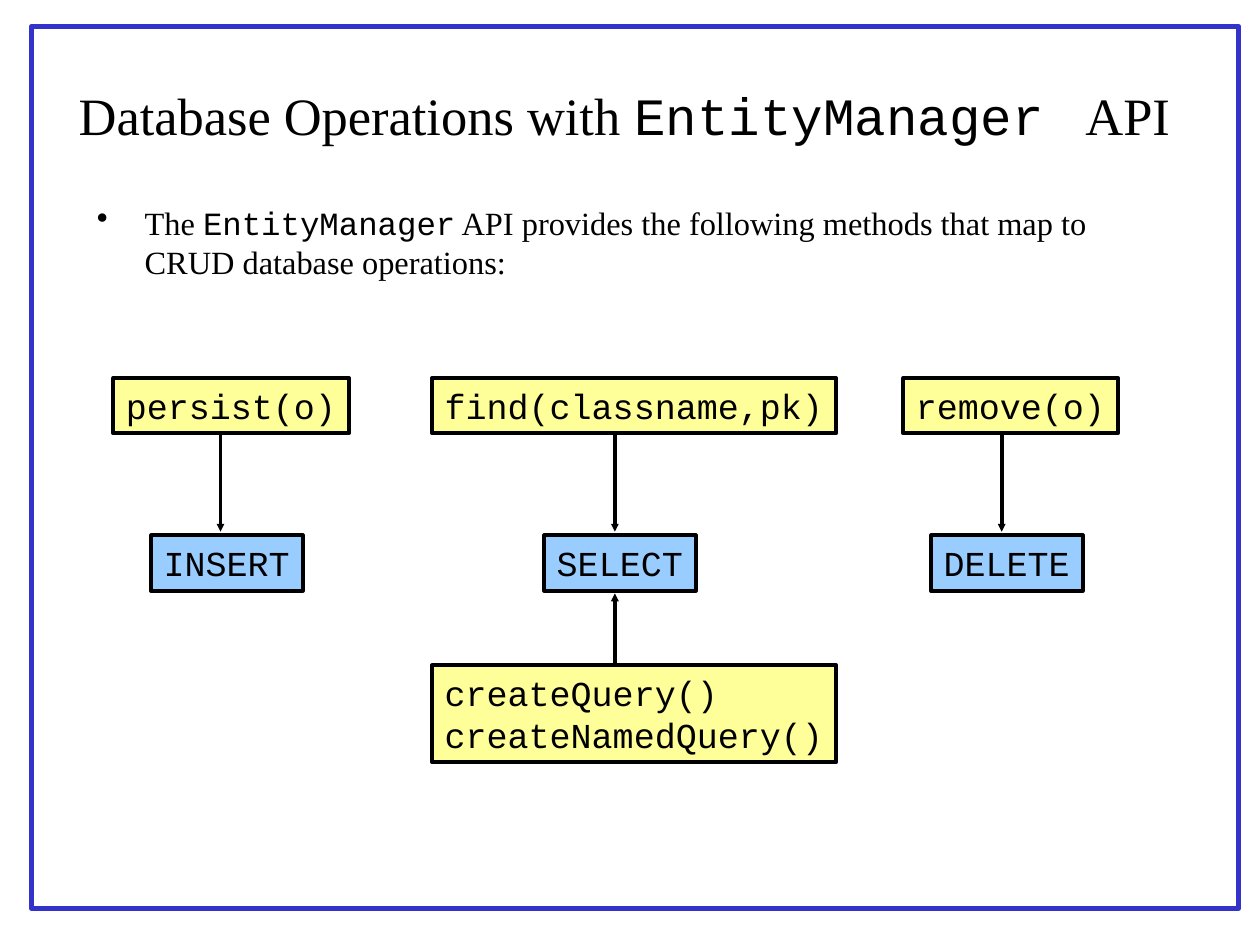
from dataclasses import dataclass

from lxml import etree
from pptx import Presentation
from pptx.dml.color import RGBColor
from pptx.enum.shapes import MSO_CONNECTOR, MSO_SHAPE
from pptx.enum.text import MSO_ANCHOR, MSO_AUTO_SIZE, PP_ALIGN
from pptx.oxml.ns import qn
from pptx.util import Emu, Inches, Pt

RECTANGLE = MSO_SHAPE.RECTANGLE
STRAIGHT = MSO_CONNECTOR.STRAIGHT
TOP, MIDDLE = MSO_ANCHOR.TOP, MSO_ANCHOR.MIDDLE
LEFT, CENTER = PP_ALIGN.LEFT, PP_ALIGN.CENTER
FIT_SHAPE = MSO_AUTO_SIZE.SHAPE_TO_FIT_TEXT

COLORS = {
    "paper": "FFFFFF",
    "frame": "3333CC",
    "ink": "000000",
    "method": "FFFF99",
    "statement": "99CCFF",
}
SERIF, MONO = "Times New Roman", "Courier New"

# The slide is a grid of 100 columns by 75 rows
CELL = Inches(0.1)
COLUMNS, ROWS = 100, 75
METHOD_ROW, STATEMENT_ROW, QUERY_ROW = 30, 42.5, 52.8
CHARACTER_WIDTH, LINE_HEIGHT = 1.67, 3.3
SIDE_PADDING, END_PADDING = 1, 0.55


@dataclass(frozen=True)
class Node:
    lines: tuple[str, ...]
    column: float
    row: float
    color: str


@dataclass(frozen=True)
class Arrow:
    column: float
    start_row: float
    end_row: float


NODES = (
    Node(("persist(o)",), 9, METHOD_ROW, "method"),
    Node(("find(classname,pk)",), 34.3, METHOD_ROW, "method"),
    Node(("remove(o)",), 71.7, METHOD_ROW, "method"),
    Node(("INSERT",), 12, STATEMENT_ROW, "statement"),
    Node(("SELECT",), 43.2, STATEMENT_ROW, "statement"),
    Node(("DELETE",), 73.9, STATEMENT_ROW, "statement"),
    Node(("createQuery()", "createNamedQuery()"), 34.3, QUERY_ROW, "method"),
)
ARROWS = (
    Arrow(17.5, 34.2, 42.2),
    Arrow(48.8, 34.2, 42.2),
    Arrow(79.5, 34.2, 42.2),
    Arrow(48.8, 52.7, 47.1),
)


def grid(cells: float) -> Emu:
    return Emu(round(cells * CELL))


def rgb(name: str) -> RGBColor:
    return RGBColor.from_string(COLORS[name])


def add_rectangle(slide, column, row, width, height, fill, line, weight):
    box = slide.shapes.add_shape(
        RECTANGLE, grid(column), grid(row), grid(width), grid(height))
    box.shadow.inherit = False
    box.fill.solid()
    box.fill.fore_color.rgb = rgb(fill)
    box.line.color.rgb = rgb(line)
    box.line.width = Pt(weight)
    return box


def add_node(slide, node: Node) -> None:
    width = 2 * SIDE_PADDING + CHARACTER_WIDTH * max(map(len, node.lines))
    height = 2 * END_PADDING + LINE_HEIGHT * len(node.lines)
    box = add_rectangle(slide, node.column, node.row, width, height,
                        node.color, "ink", 2.25)
    frame = box.text_frame
    frame.text = "\n".join(node.lines)
    frame.word_wrap = False
    frame.auto_size = FIT_SHAPE
    frame.vertical_anchor = TOP
    for para in frame.paragraphs:
        para.alignment = LEFT
        para.font.name = MONO
        para.font.size = Pt(20)
        para.font.color.rgb = rgb("ink")


def add_arrow(slide, arrow: Arrow) -> None:
    line = slide.shapes.add_connector(
        STRAIGHT, grid(arrow.column), grid(arrow.start_row),
        grid(arrow.column), grid(arrow.end_row))
    line.line.color.rgb = rgb("ink")
    line.line.width = Pt(2.25)
    etree.SubElement(line.line._get_or_add_ln(), qn("a:tailEnd"),
                     type="triangle", w="sm", len="sm")
    etree.SubElement(line._element.spPr, qn("a:effectLst"))


def add_mixed_text(slide, column, row, width, height, size, spans):
    """Add a text box holding one paragraph of (text, font) spans."""
    box = slide.shapes.add_textbox(
        grid(column), grid(row), grid(width), grid(height))
    box.text_frame.word_wrap = True
    para = box.text_frame.paragraphs[0]
    para.font.size = Pt(size)
    para.font.color.rgb = rgb("ink")
    for text, font in spans:
        span = para.add_run()
        span.text = text
        span.font.name = font
    return box


def add_bullet(para, indent: float) -> None:
    properties = para._p.get_or_add_pPr()
    properties.set("marL", str(grid(indent)))
    properties.set("indent", str(-grid(indent)))
    bullet = etree.Element(qn("a:buChar"), char="•")
    properties.insert_element_before(
        bullet, "a:tabLst", "a:defRPr", "a:extLst")


def main() -> None:
    deck = Presentation()
    deck.slide_width, deck.slide_height = grid(COLUMNS), grid(ROWS)
    slide = deck.slides.add_slide(deck.slide_layouts[6])

    # Frame around the page
    add_rectangle(slide, 2.5, 2.1, 95.8, 70, "paper", "frame", 3)

    # Title
    title = add_mixed_text(slide, 3.5, 2.8, 92.1, 12.5, 30, (
        ("Database Operations with ", SERIF),
        ("EntityManager ", MONO),
        (" API", SERIF),
    ))
    title.text_frame.vertical_anchor = MIDDLE
    title.text_frame.paragraphs[0].alignment = CENTER

    # Introduction
    intro = add_mixed_text(slide, 6.7, 15.9, 86.6, 7.6, 18.5, (
        ("The ", SERIF),
        ("EntityManager", MONO),
        (" API provides the following methods that map to "
         "CRUD database operations:", SERIF),
    ))
    intro.text_frame.margin_top = grid(0.2)
    intro_para = intro.text_frame.paragraphs[0]
    intro_para.space_before = Pt(5)
    add_bullet(intro_para, 3.8)

    # Methods mapped to statements
    for node in NODES:
        add_node(slide, node)
    for arrow in ARROWS:
        add_arrow(slide, arrow)

    deck.save("out.pptx")


if __name__ == "__main__":
    main()
